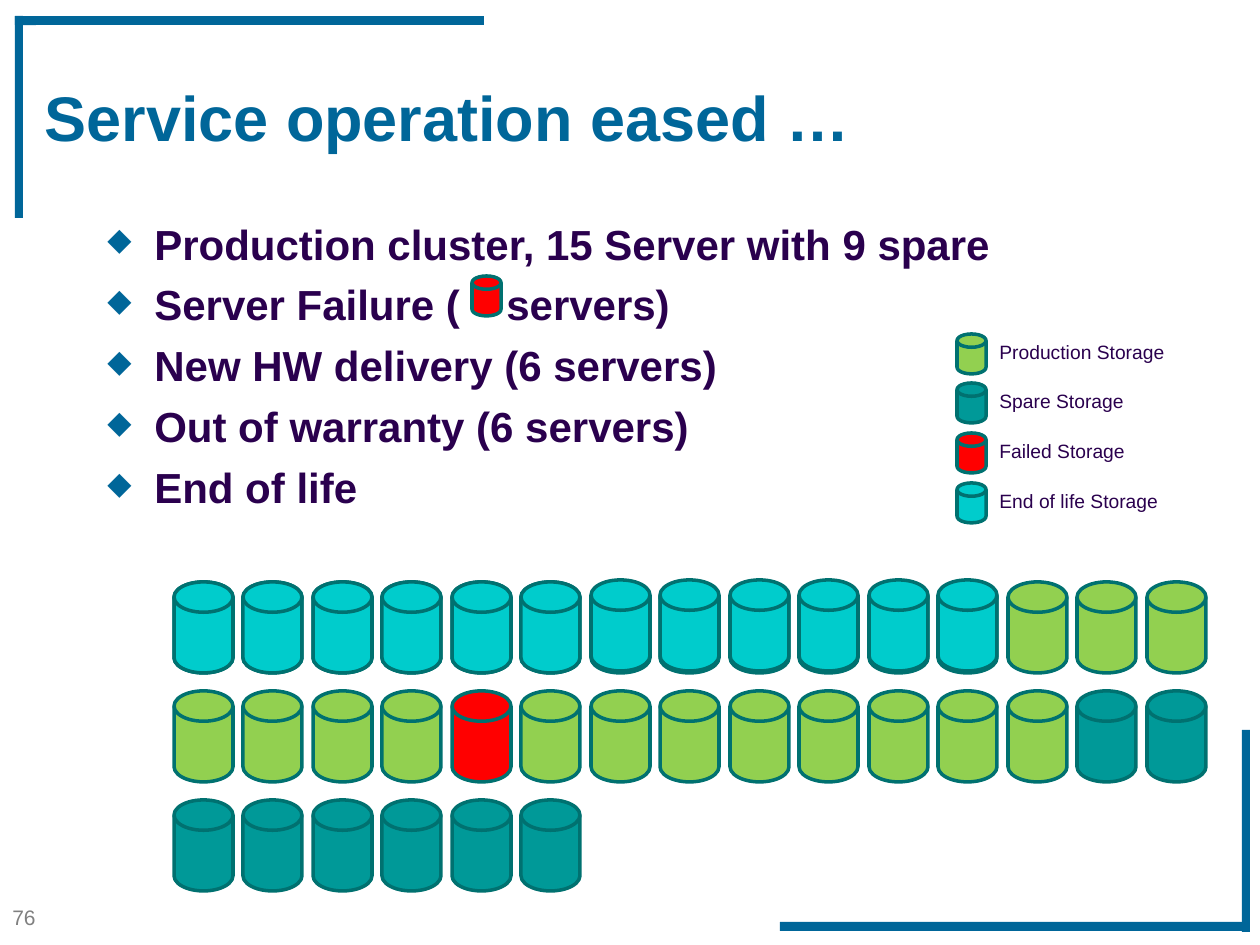
from lxml.etree import SubElement
from pptx import Presentation
from pptx.dml.color import RGBColor
from pptx.enum.shapes import MSO_SHAPE as Shape
from pptx.enum.text import MSO_ANCHOR as Anchor, PP_ALIGN as Align
from pptx.oxml.ns import qn
from pptx.util import Pt

PX = 914400 // 126
COLORS = {
    "frame": "006699", "text": "2A004E", "number": "808080", "outline": "007170",
    "production": "92D050", "spare": "009998", "failed": "FF0000", "end of life": "00CCCC",
}

prs = Presentation()
prs.slide_width, prs.slide_height = 1260 * PX, 945 * PX
slide = prs.slides.add_slide(prs.slide_layouts[5])


def add_part(preset, box, color, outline=None):
    """Add a filled preset shape; box is left, top, width, height in px."""
    part = slide.shapes.add_shape(preset, *(v * PX for v in box))
    part.shadow.inherit = False
    part.fill.solid()
    part.fill.fore_color.rgb = RGBColor.from_string(COLORS[color])
    if outline:
        part.line.color.rgb = RGBColor.from_string(COLORS[outline])
        part.line.width = Pt(2)
    else:
        part.line.fill.background()
    return part


def format_text(paragraph, size, color, bold=False):
    paragraph.alignment = Align.LEFT
    values = {"name": "Arial", "size": Pt(size), "bold": bold}
    for key, value in values.items():
        setattr(paragraph.font, key, value)
    paragraph.font.color.rgb = RGBColor.from_string(COLORS[color])


# Corner frames
for bar in ((15, 16, 8, 202), (15, 16, 469, 9), (1242, 730, 8, 202), (780, 922, 469, 9)):
    add_part(Shape.ROUNDED_RECTANGLE, bar, "frame").adjustments[0] = 0.03

title = slide.shapes.title
for key, value in {"left": 32, "top": 28, "width": 1228, "height": 176}.items():
    setattr(title, key, value * PX)
title.text_frame.text = "Service operation eased …"
title.text_frame.vertical_anchor = Anchor.MIDDLE
format_text(title.text_frame.paragraphs[0], 36, "frame", bold=True)

# Bulleted steps; the tab leaves room for the failed disk
steps = (
    "Production cluster, 15 Server with 9 spare",
    "Server Failure (\tservers)",
    "New HW delivery (6 servers)",
    "Out of warranty (6 servers)",
    "End of life",
)
body = slide.shapes.add_textbox(95 * PX, 207 * PX, 1071 * PX, 612 * PX).text_frame
body.word_wrap = True
body.margin_top = 11 * PX
for index, step in enumerate(steps):
    paragraph = body.paragraphs[0] if index == 0 else body.add_paragraph()
    paragraph.text = step
    props = paragraph._p.get_or_add_pPr()
    props.set("marL", str(47 * PX))
    props.set("indent", str(-47 * PX))
    bullet_color = SubElement(props, qn("a:buClr"))
    SubElement(bullet_color, qn("a:srgbClr"), val=COLORS["frame"])
    SubElement(props, qn("a:buSzPct"), val="75000")
    SubElement(props, qn("a:buChar"), char="◆")
    if "\t" in step:
        tabs = SubElement(props, qn("a:tabLst"))
        SubElement(tabs, qn("a:tab"), pos=str(399 * PX), algn="l")
    if index:
        paragraph.space_before = Pt(6)
    format_text(paragraph, 24, "text", bold=True)
add_part(Shape.FLOWCHART_MAGNETIC_DISK, (472, 276, 29, 40), "failed", "outline")

# Legend and slide number
labels = [(0, 898, 52, 38, "76", 12, "number")]
for index, (kind, label, width) in enumerate((
    ("production", "Production Storage", 192),
    ("spare", "Spare Storage", 151),
    ("failed", "Failed Storage", 152),
    ("end of life", "End of life Storage", 185),
)):
    top = 334 + index * 149 // 3
    add_part(Shape.FLOWCHART_MAGNETIC_DISK, (957, top, 29, 40), kind, "outline")
    labels.append((987, top, width, 36, label, 11, "text"))
for left, top, width, height, label, size, color in labels:
    frame = slide.shapes.add_textbox(left * PX, top * PX, width * PX, height * PX).text_frame
    frame.word_wrap = False
    frame.text = label
    format_text(frame.paragraphs[0], size, color)

# Server disks: top of the row, first column, count, kind
for top, first, count, kind in (
    (582, 0, 15, "production"),
    (582, 0, 6, "end of life"),
    (580, 6, 6, "end of life"),
    (691, 0, 4, "production"),
    (691, 4, 1, "failed"),
    (691, 5, 8, "production"),
    (691, 13, 2, "spare"),
    (800, 0, 6, "spare"),
):
    for column in range(first, first + count):
        left = 174 + column * 973 // 14
        add_part(Shape.FLOWCHART_MAGNETIC_DISK, (left, top, 59, 91), kind, "outline")

prs.save("out.pptx")
